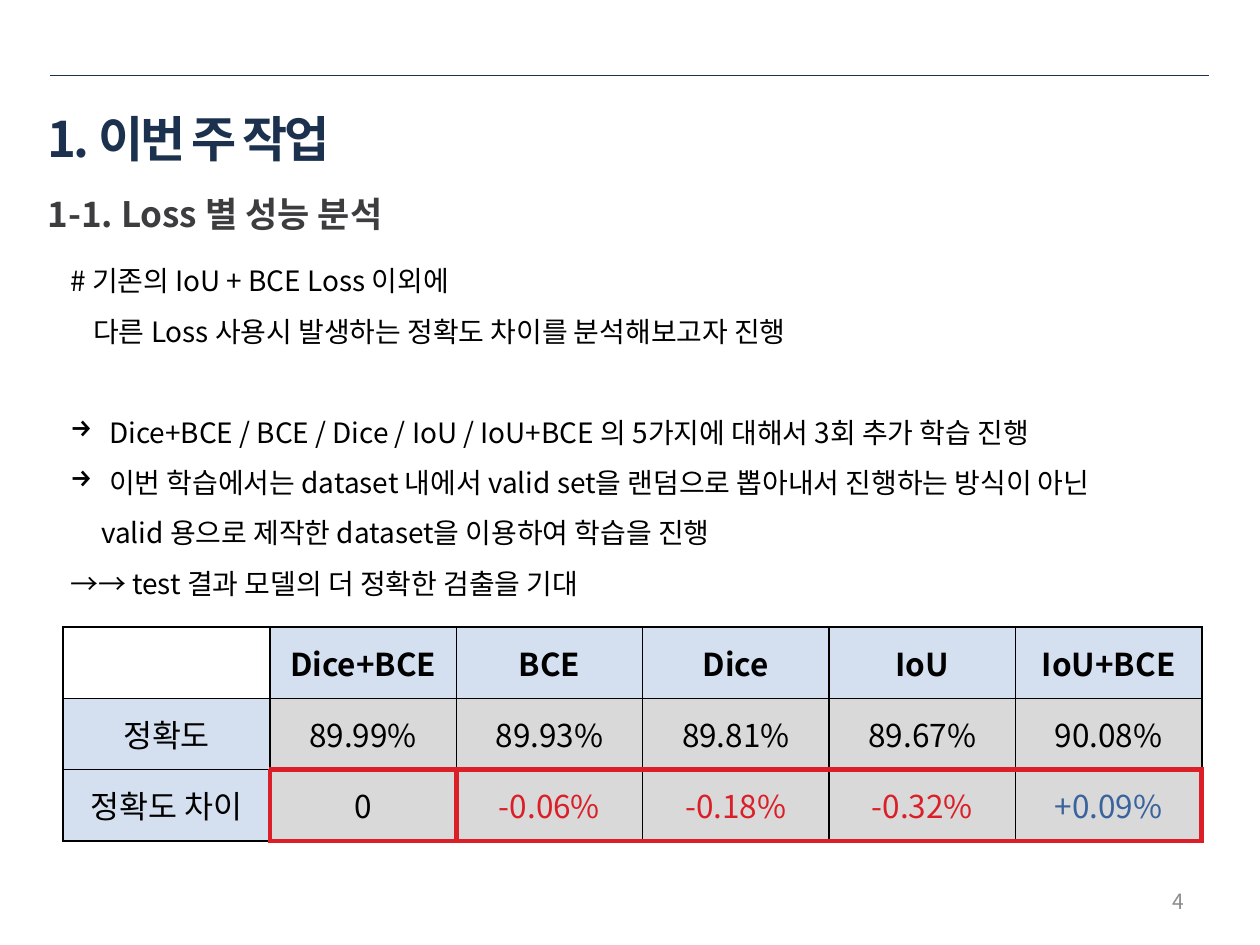
from lxml import etree
from pptx import Presentation
from pptx import util as u
from pptx.dml.color import RGBColor
from pptx.enum import shapes, text
from pptx.oxml import ns

SCALE = 914400 // 126
FONT = "Noto Sans CJK KR"
NAVY, BLACK, RED, BLUE = "1C314E", "000000", "DA1F28", "39639D"
HEADER_FILL, VALUE_FILL = "D4DFEF", "D9D9D9"

# Text, left indent in px, bulleted, space before in points
NOTES = [
    ("# 기존의 IoU + BCE Loss 이외에", 0, False, 0),
    ("다른 Loss 사용시 발생하는 정확도 차이를 분석해보고자 진행", 23, False, 0),
    ("Dice+BCE / BCE / Dice / IoU / IoU+BCE 의 5가지에 대해서 3회 추가 학습 진행", 39, True, 28.8),
    ("이번 학습에서는 dataset 내에서 valid set을 랜덤으로 뽑아내서 진행하는 방식이 아닌", 39, True, 0),
    ("valid 용으로 제작한 dataset을 이용하여 학습을 진행", 31, False, 0),
    ("→→ test 결과 모델의 더 정확한 검출을 기대", 0, False, 0),
]
RESULTS = [
    ["", "Dice+BCE", "BCE", "Dice", "IoU", "IoU+BCE"],
    ["정확도", "89.99%", "89.93%", "89.81%", "89.67%", "90.08%"],
    ["정확도 차이", "0", "-0.06%", "-0.18%", "-0.32%", "+0.09%"],
]


def px(value):
    return u.Emu(value * SCALE)


def color(value):
    return RGBColor.from_string(value)


def format_paragraph(paragraph, size, hue, bold=False, align=text.PP_ALIGN.LEFT):
    paragraph.alignment = align
    for run in paragraph.runs:
        run.font.size = u.Pt(size)
        run.font.bold = bold
        run.font.name = FONT
        run.font.color.rgb = color(hue)
        properties = run.font._element
        etree.SubElement(properties, ns.qn("a:ea")).set("typeface", FONT)


def add_title(slide, words):
    title = slide.shapes.title
    title.left, title.top, title.width, title.height = map(px, (35, 97, 964, 81))
    frame = title.text_frame
    frame.text = words
    frame.auto_size = text.MSO_AUTO_SIZE.NONE
    frame.vertical_anchor = text.MSO_ANCHOR.MIDDLE
    paragraph = frame.paragraphs[0]
    format_paragraph(paragraph, 28, NAVY, True)
    paragraph.runs[0].font._element.set("spc", "-150")


def add_text(slide, box, words, size, hue, **style):
    frame = slide.shapes.add_textbox(*map(px, box)).text_frame
    frame.word_wrap = True
    frame.text = words
    for paragraph in frame.paragraphs:
        format_paragraph(paragraph, size, hue, **style)
    return frame


def add_rule(slide, left, right, y):
    rule = slide.shapes.add_connector(
        shapes.MSO_CONNECTOR.STRAIGHT, px(left), px(y), px(right), px(y))
    rule.line.color.rgb = color(NAVY)
    rule.line.width = u.Pt(0.25)
    etree.SubElement(rule._element.spPr, ns.qn("a:effectLst"))


def add_notes(slide, box):
    frame = add_text(slide, box, "\n".join(note[0] for note in NOTES), 16, BLACK)
    for paragraph, (_, indent, bulleted, before) in zip(frame.paragraphs, NOTES):
        paragraph.line_spacing = u.Pt(28.8)
        paragraph.space_before = u.Pt(before)
        properties = paragraph._p.get_or_add_pPr()
        properties.set("marL", str(px(indent)))
        if bulleted:
            properties.set("indent", str(-px(indent)))
            etree.SubElement(properties, ns.qn("a:buChar")).set("char", "→")


def set_borders(cell, red_sides):
    properties = cell._tc.get_or_add_tcPr()
    for side in "LRTB":
        hue, width = (RED, 3) if side in red_sides else (BLACK, 1)
        line = etree.SubElement(properties, ns.qn("a:ln" + side), w=str(u.Pt(width)))
        fill = etree.SubElement(line, ns.qn("a:solidFill"))
        etree.SubElement(fill, ns.qn("a:srgbClr")).set("val", hue)


def red_sides(row, column):
    """Sides on the frame around the differences and its first divider."""
    if column == 0:
        return "R" if row == 2 else ""
    if row < 2:
        return "B" if row == 1 else ""
    return "TB" + ("L" if column < 3 else "") + ("R" if column in (1, 5) else "")


def text_hue(words):
    return {"-": RED, "+": BLUE}.get(words[:1], BLACK)


def add_results(slide, left, top, width, height, label_width):
    row_count, column_count = len(RESULTS), len(RESULTS[0])
    table = slide.shapes.add_table(
        row_count, column_count, px(left), px(top), px(width), px(height)).table
    table.first_row = table.horz_banding = False
    for index, column in enumerate(table.columns):
        column.width = px(label_width) if index == 0 else u.Emu(
            px(width - label_width) // (column_count - 1))
    for r, values in enumerate(RESULTS):
        for c, words in enumerate(values):
            cell = table.cell(r, c)
            cell.text = words
            cell.vertical_anchor = text.MSO_ANCHOR.MIDDLE
            format_paragraph(cell.text_frame.paragraphs[0], 18, text_hue(words),
                             r == 0, text.PP_ALIGN.CENTER)
            set_borders(cell, red_sides(r, c))
            if words:
                cell.fill.solid()
                cell.fill.fore_color.rgb = color(
                    VALUE_FILL if r and c else HEADER_FILL)
            else:
                cell.fill.background()


def main():
    presentation = Presentation()
    presentation.slide_width, presentation.slide_height = px(1260), px(945)
    slide = presentation.slides.add_slide(presentation.slide_layouts[5])

    # Heading
    add_rule(slide, 50, 1209, 75)
    add_title(slide, "1. 이번 주 작업")
    subtitle = add_text(slide, (35, 186, 1167, 60), "1-1. Loss 별 성능 분석",
                        20, "3D3C3E", bold=True)
    subtitle.paragraphs[0].space_before = u.Pt(4)

    # Explanation and results
    add_notes(slide, (58, 241, 1210, 364))
    add_results(slide, 63, 627, 1139, 214, 207)

    # Page number
    number = add_text(slide, (903, 876, 294, 50), "4", 12, "8C8C8C",
                      align=text.PP_ALIGN.RIGHT)
    number.vertical_anchor = text.MSO_ANCHOR.MIDDLE

    presentation.save("out.pptx")


if __name__ == "__main__":
    main()
